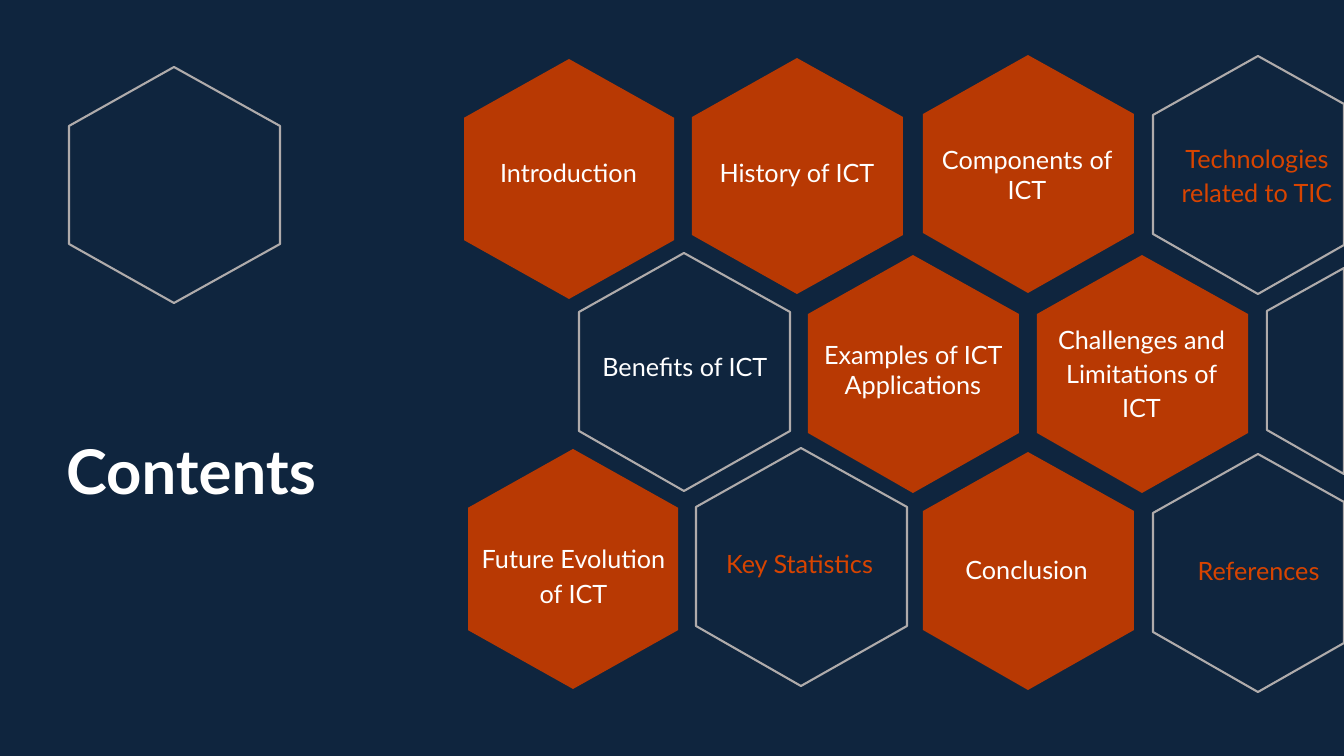
from pptx import Presentation
from pptx import util as u
from pptx.dml.color import RGBColor
from pptx.enum import shapes, text

PX = 914400 / 100.8
SLIDE_WIDTH, SLIDE_HEIGHT = 1344, 756
NAVY, ORANGE, BRIGHT, GREY, WHITE = "0F253E", "B83903", "D84400", "AFABAB", "FFFFFF"
HEX_WIDTH = 211

# left, top, height
FILLED_CELLS = [(692, 58, 236), (923, 55, 238), (808, 255, 238),
                (923, 452, 238), (1037, 255, 238)]
OUTLINED_CELLS = [(69, 67, 236), (1153, 56, 238), (1267, 252, 238),
                  (1153, 454, 238), (579, 253, 238), (696, 448, 238)]
# left, top of the unrotated box
TURNED_CELLS = [(453, 464), (449, 74)]

# wording, box, colour
SPACED_LABELS = [
    ("Future Evolution of ICT", (468, 514, 211, 120), WHITE),
    ("Challenges and Limitations of ICT", (1036, 312, 211, 119), WHITE),
    ("Key Statistics", (694, 502, 211, 119), BRIGHT),
    ("Conclusion", (921, 507, 211, 120), WHITE),
]
TOP_SPACED_LABELS = [("Technologies related to TIC", (1152, 134, 210, 80), BRIGHT)]
PLAIN_LABELS = [
    ("Introduction", (462, 152, 213, 40), WHITE),
    ("History of ICT", (691, 152, 212, 72), WHITE),
    ("Components of ICT", (922, 139, 210, 102), WHITE),
    ("Benefits of ICT", (580, 346, 210, 72), WHITE),
    ("Examples of ICT Applications", (807, 334, 212, 102), WHITE),
    ("References", (1163, 550, 191, 40), BRIGHT),
]


def px(value):
    return u.Emu(round(value * PX))


def colour(value):
    return RGBColor.from_string(value)


def paint(shape, fill=None, line=None):
    shape.shadow.inherit = False
    if fill:
        shape.fill.solid()
        shape.fill.fore_color.rgb = colour(fill)
    else:
        shape.fill.background()
    if line:
        shape.line.color.rgb = colour(line)
        shape.line.width = u.Pt(1.5)
    else:
        shape.line.fill.background()


def cut_at_right_edge(points):
    """Keep the part of a polygon that lies on the slide."""
    kept = []
    for (x1, y1), (x2, y2) in zip(points, points[1:] + points[:1]):
        if x1 <= SLIDE_WIDTH:
            kept.append((x1, y1))
        if (x1 <= SLIDE_WIDTH) != (x2 <= SLIDE_WIDTH):
            share = (SLIDE_WIDTH - x1) / (x2 - x1)
            kept.append((SLIDE_WIDTH, round(y1 + share * (y2 - y1))))
    return kept


def add_cell(slide, left, top, height, fill=None, line=None):
    middle, right = left + HEX_WIDTH // 2, left + HEX_WIDTH
    upper, lower = top + height // 4, top + height * 3 // 4
    points = cut_at_right_edge([(middle, top), (right, upper), (right, lower),
                                (middle, top + height), (left, lower), (left, upper)])
    builder = slide.shapes.build_freeform(*points[0], scale=PX)
    builder.add_line_segments(points[1:], close=True)
    paint(builder.convert_to_shape(), fill, line)


def add_turned_cell(slide, left, top):
    shape = slide.shapes.add_shape(shapes.MSO_SHAPE.HEXAGON,
                                   px(left), px(top), px(240), px(210))
    shape.adjustments[0] = 0.28
    shape.rotation = 90
    paint(shape, ORANGE)


def add_run(paragraph, wording, size, hue, bold=False):
    run = paragraph.add_run()
    run.text = wording
    run.font.name = "Lato"
    run.font.size = u.Pt(size)
    run.font.bold = bold
    run.font.color.rgb = colour(hue)


def add_label(slide, wording, box, hue, spaced=False, anchor=text.MSO_ANCHOR.TOP):
    frame = slide.shapes.add_textbox(*map(px, box)).text_frame
    frame.word_wrap = True
    frame.vertical_anchor = anchor
    paragraph = frame.paragraphs[0]
    paragraph.alignment = text.PP_ALIGN.CENTER
    if spaced:
        paragraph.line_spacing = 1.13
        paragraph.space_before = u.Pt(10)
    add_run(paragraph, wording, 18, hue)


def set_title(slide, wording):
    title = slide.shapes.title
    title.left, title.top, title.width, title.height = map(px, (56, 379, 469, 192))
    frame = title.text_frame
    frame.auto_size = text.MSO_AUTO_SIZE.NONE
    frame.vertical_anchor = text.MSO_ANCHOR.MIDDLE
    paragraph = frame.paragraphs[0]
    paragraph.alignment = text.PP_ALIGN.LEFT
    paragraph.line_spacing = 0.9
    add_run(paragraph, wording, 44, WHITE, bold=True)


def main():
    presentation = Presentation()
    presentation.slide_width = px(SLIDE_WIDTH)
    presentation.slide_height = px(SLIDE_HEIGHT)
    slide = presentation.slides.add_slide(presentation.slide_layouts[5])
    slide.background.fill.solid()
    slide.background.fill.fore_color.rgb = colour(NAVY)

    # Honeycomb
    for cell in FILLED_CELLS:
        add_cell(slide, *cell, fill=ORANGE)
    for cell in OUTLINED_CELLS:
        add_cell(slide, *cell, line=GREY)
    for cell in TURNED_CELLS:
        add_turned_cell(slide, *cell)

    # Title and topics
    set_title(slide, "Contents")
    for label in SPACED_LABELS:
        add_label(slide, *label, spaced=True, anchor=text.MSO_ANCHOR.MIDDLE)
    for label in TOP_SPACED_LABELS:
        add_label(slide, *label, spaced=True)
    for label in PLAIN_LABELS:
        add_label(slide, *label)

    presentation.save("out.pptx")


if __name__ == "__main__":
    main()
